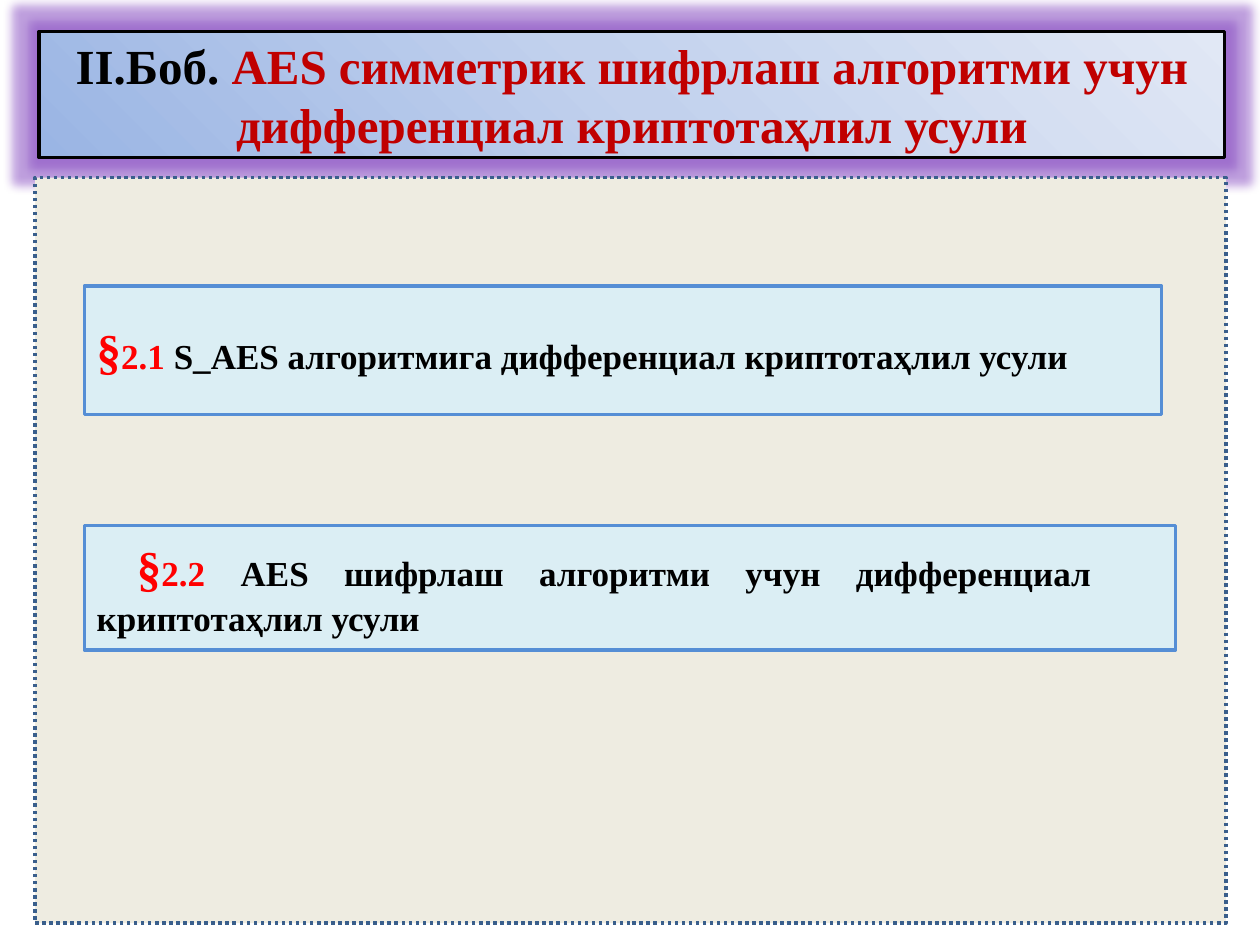
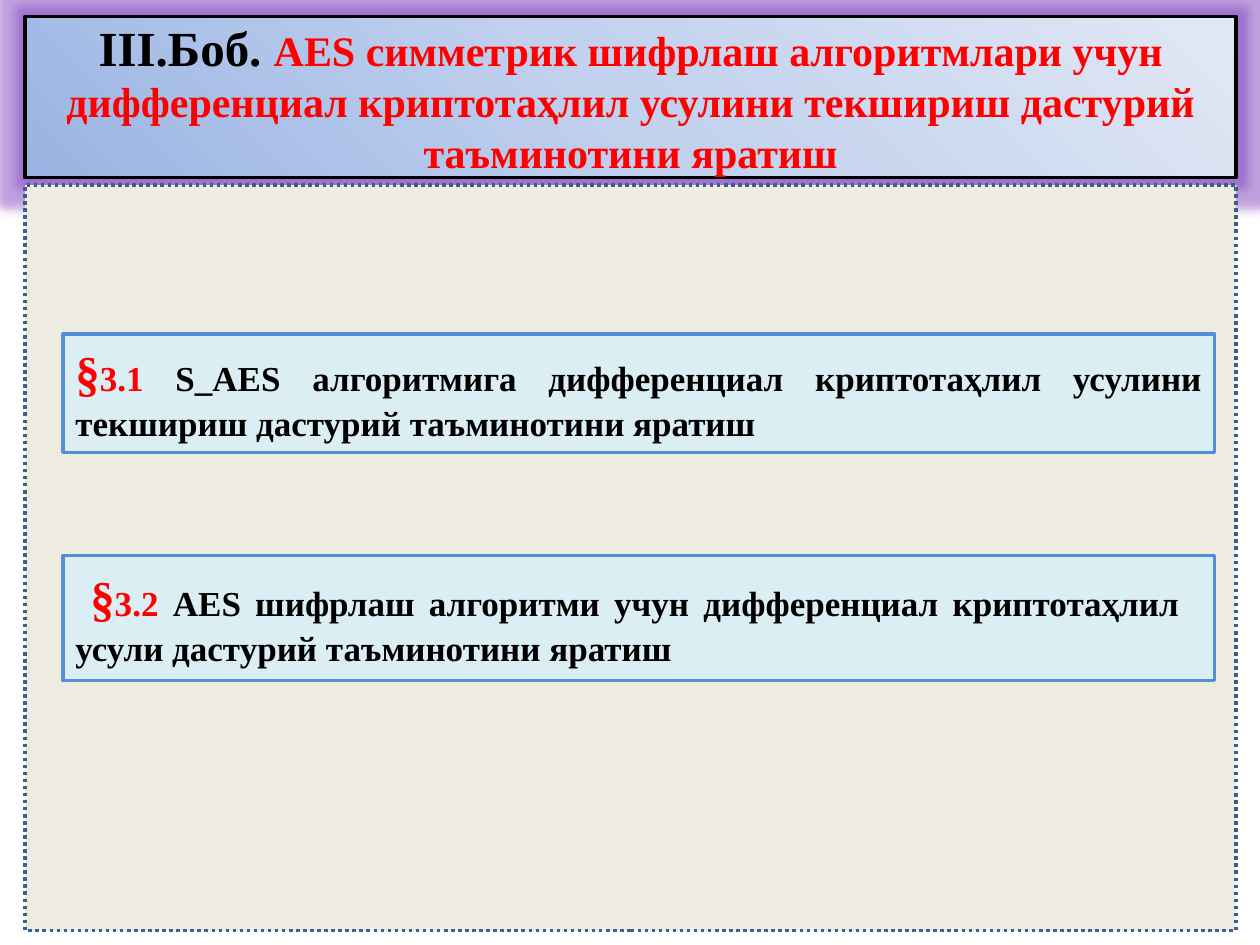
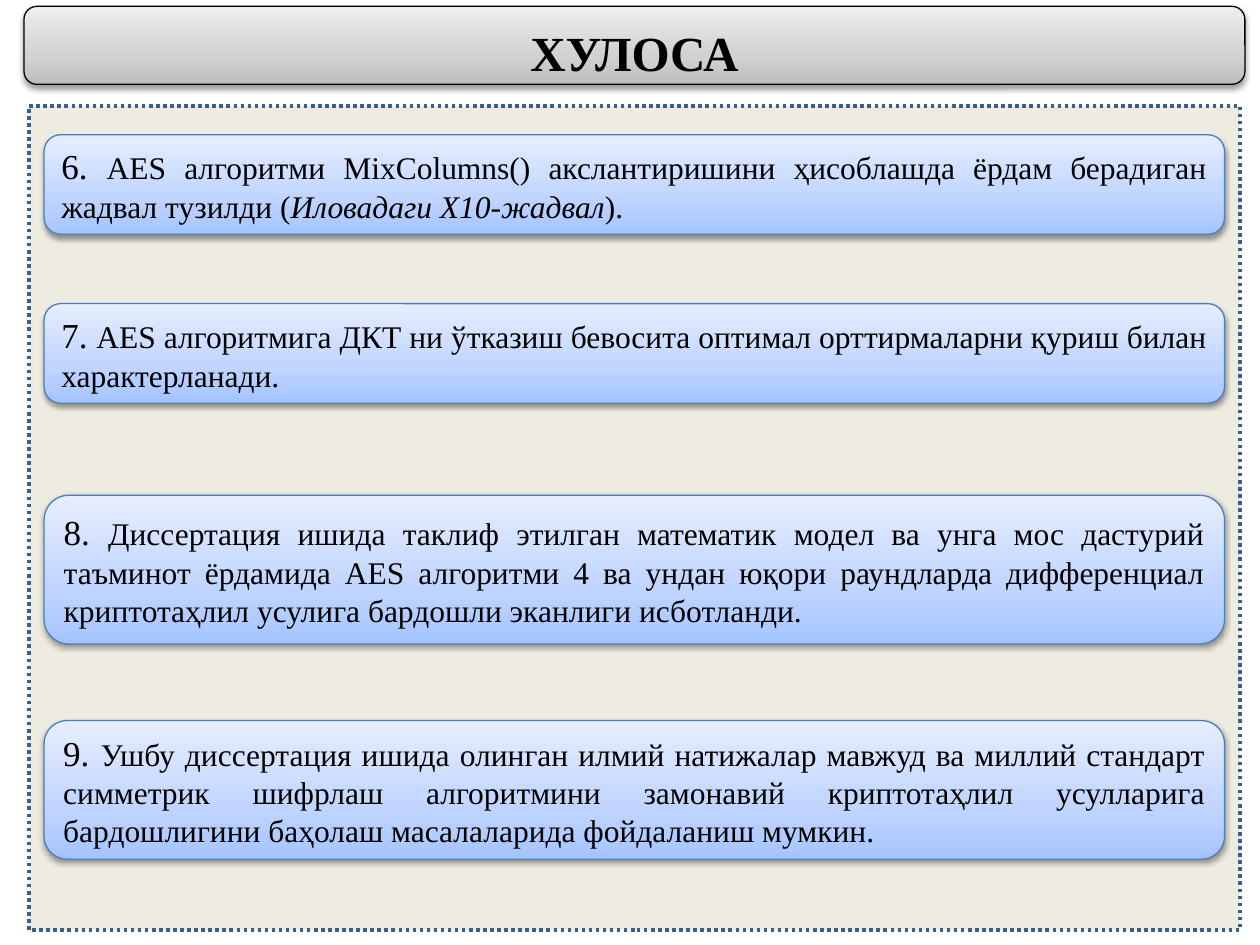
from lxml import etree
from pptx import Presentation
from pptx.dml.color import RGBColor
from pptx.enum.dml import MSO_LINE
from pptx.enum.shapes import MSO_SHAPE
from pptx.enum.text import MSO_ANCHOR, PP_ALIGN
from pptx.oxml.ns import qn
from pptx.util import Pt

FONT = "Times New Roman"
BLACK, RED, DARK_RED = "000000", "FF0000", "C00000"
PANEL_FILL, PANEL_LINE = "EEECE1", "3A5F8C"
SECTION_FILL, SECTION_LINE = "DBEEF4", "558ED5"
CARD_LINE, GLOW = "4B7EBC", "8041BE"
CHAPTER_STOPS = [(0, "9AB5E4"), (50, "C2D1ED"), (100, "E1E8F5")]
HEADING_STOPS = [(0, "BDBDBD"), (35, "D1D1D1"), (100, "EEEEEE")]
CARD_STOPS = [(0, "A4C4FF"), (35, "BFD4FF"), (100, "E6EEFF")]


def color(value):
    return RGBColor.from_string(value)


def add_child(parent, tag, **attributes):
    child = etree.SubElement(parent, qn(tag))
    for name, value in attributes.items():
        child.set(name, str(value))
    return child


def add_box(slide, bounds, line, width, fill=None, kind=MSO_SHAPE.RECTANGLE):
    shape = slide.shapes.add_shape(kind, *map(Pt, bounds))
    shape.shadow.inherit = False
    shape.line.color.rgb = color(line)
    shape.line.width = Pt(width)
    if fill:
        shape.fill.solid()
        shape.fill.fore_color.rgb = color(fill)
    return shape


def set_gradient(shape, stops, radial=False):
    shape.fill.gradient()
    gradient = shape._element.spPr.find(qn("a:gradFill"))
    for child in list(gradient):
        gradient.remove(child)
    stop_list = add_child(gradient, "a:gsLst")
    for position, value in stops:
        stop = add_child(stop_list, "a:gs", pos=position * 1000)
        add_child(stop, "a:srgbClr", val=value)
    if radial:
        shade = add_child(gradient, "a:path", path="circle")
        add_child(shade, "a:fillToRect", t=100000, r=100000)
    else:
        add_child(gradient, "a:lin", ang=16200000, scaled=0)


def add_effect(shape, tag, value, alpha, **attributes):
    effects = shape._element.spPr.find(qn("a:effectLst"))
    effect = add_child(effects, tag, **attributes)
    tint = add_child(effect, "a:srgbClr", val=value)
    add_child(tint, "a:alpha", val=alpha * 1000)


def write_text(shape, runs, align, indent=0):
    frame = shape.text_frame
    frame.word_wrap = True
    frame.vertical_anchor = MSO_ANCHOR.MIDDLE
    paragraph = frame.paragraphs[0]
    paragraph.alignment = align
    if indent:
        paragraph._p.get_or_add_pPr().set("indent", str(Pt(indent)))
    for text, size, value, bold, italic in runs:
        run = paragraph.add_run()
        run.text = text
        run.font.name = FONT
        run.font.size = Pt(size)
        run.font.color.rgb = color(value)
        run.font.bold = bold
        run.font.italic = italic


def add_chapter_title(slide, bounds, number, title, size, value):
    shape = add_box(slide, bounds, BLACK, 2)
    set_gradient(shape, CHAPTER_STOPS, radial=True)
    add_effect(shape, "a:glow", GLOW, 50, rad=Pt(11))
    runs = [(number + " ", 28, BLACK, True, False), (title, size, value, True, False)]
    write_text(shape, runs, PP_ALIGN.CENTER)


def add_panel(slide, bounds):
    shape = add_box(slide, bounds, PANEL_LINE, 2, PANEL_FILL)
    shape.line.dash_style = MSO_LINE.ROUND_DOT


def add_section(slide, bounds, number, title, indent=0, right=7.2):
    shape = add_box(slide, bounds, SECTION_LINE, 2, SECTION_FILL)
    shape.text_frame.margin_right = Pt(right)
    runs = [("§", 28, RED, True, False), (number + " ", 20, RED, True, False),
            (title, 20, BLACK, True, False)]
    write_text(shape, runs, PP_ALIGN.JUSTIFY, indent)


def add_raised_box(slide, bounds, line, stops):
    shape = add_box(slide, bounds, line, 0.75, kind=MSO_SHAPE.ROUNDED_RECTANGLE)
    set_gradient(shape, stops)
    add_effect(shape, "a:outerShdw", BLACK, 38, blurRad=Pt(3.1), dist=Pt(1.6),
               dir=5400000, rotWithShape=0)
    return shape


def add_heading(slide, bounds, title):
    shape = add_raised_box(slide, bounds, BLACK, HEADING_STOPS)
    shape.text_frame.margin_top = Pt(7)
    shape.text_frame.margin_bottom = 0
    write_text(shape, [(title, 28, BLACK, True, False)], PP_ALIGN.CENTER)


def add_conclusion(slide, top, height, number, parts):
    shape = add_raised_box(slide, (25.2, top, 674.6, height), CARD_LINE, CARD_STOPS)
    runs = [(f"{number}. ", 20, BLACK, False, False)]
    runs += [(text, 18, BLACK, False, italic) for text, italic in parts]
    write_text(shape, runs, PP_ALIGN.JUSTIFY)


def build_chapter_two(slide):
    add_chapter_title(slide, (22.3, 18, 677.5, 72), "II.Боб.",
                      "AES симметрик шифрлаш алгоритми учун дифференциал криптотаҳлил усули",
                      28, DARK_RED)
    add_panel(slide, (20, 101.5, 680.5, 426))
    add_section(slide, (48.2, 163.4, 615.6, 73.4), "2.1",
                "S_AES алгоритмига дифференциал криптотаҳлил усули")
    add_section(slide, (48.2, 300.2, 623.5, 71.3), "2.2",
                "AES шифрлаш алгоритми учун дифференциал криптотаҳлил усули",
                indent=23, right=48)


def build_chapter_three(slide):
    add_chapter_title(slide, (14.4, 9.4, 692, 92), "III.Боб.",
                      "AES симметрик шифрлаш алгоритмлари учун дифференциал криптотаҳлил "
                      "усулини текшириш дастурий таъминотини яратиш", 24, RED)
    add_panel(slide, (14.4, 105.8, 692, 426))
    add_section(slide, (36, 190.8, 658, 67.7), "3.1",
                "S_AES алгоритмига дифференциал криптотаҳлил усулини текшириш "
                "дастурий таъминотини яратиш")
    add_section(slide, (36, 317.5, 658, 71.3), "3.2",
                "AES шифрлаш алгоритми учун дифференциал криптотаҳлил усули "
                "дастурий таъминотини яратиш", indent=8.5, right=20)


def build_conclusions(slide):
    add_panel(slide, (16.6, 60.5, 692, 471))
    add_heading(slide, (13.7, 3.6, 697.7, 44.6), "ХУЛОСА")
    conclusions = [
        (77, 56.9, [("AES алгоритми MixColumns() акслантиришини ҳисоблашда ёрдам "
                     "берадиган жадвал тузилди (", False),
                    ("Иловадаги Х10-жадвал", True), (").", False)]),
        (173.5, 56.9, [("AES алгоритмига ДКТ ни ўтказиш бевосита оптимал орттирмаларни "
                        "қуриш билан характерланади.", False)]),
        (283, 85, [("Диссертация ишида таклиф этилган математик модел ва унга мос "
                    "дастурий таъминот ёрдамида AES алгоритми 4 ва ундан юқори раундларда "
                    "дифференциал криптотаҳлил усулига бардошли эканлиги исботланди.",
                    False)]),
        (411.8, 79.2, [("Ушбу диссертация ишида олинган илмий натижалар мавжуд ва миллий "
                        "стандарт симметрик шифрлаш алгоритмини замонавий криптотаҳлил "
                        "усулларига бардошлигини баҳолаш масалаларида фойдаланиш мумкин.",
                        False)]),
    ]
    for number, (top, height, parts) in enumerate(conclusions, 6):
        add_conclusion(slide, top, height, number, parts)


def main():
    presentation = Presentation()
    presentation.slide_width = Pt(720)
    presentation.slide_height = Pt(540)
    for build in (build_chapter_two, build_chapter_three, build_conclusions):
        build(presentation.slides.add_slide(presentation.slide_layouts[6]))
    presentation.save("out.pptx")


if __name__ == "__main__":
    main()
